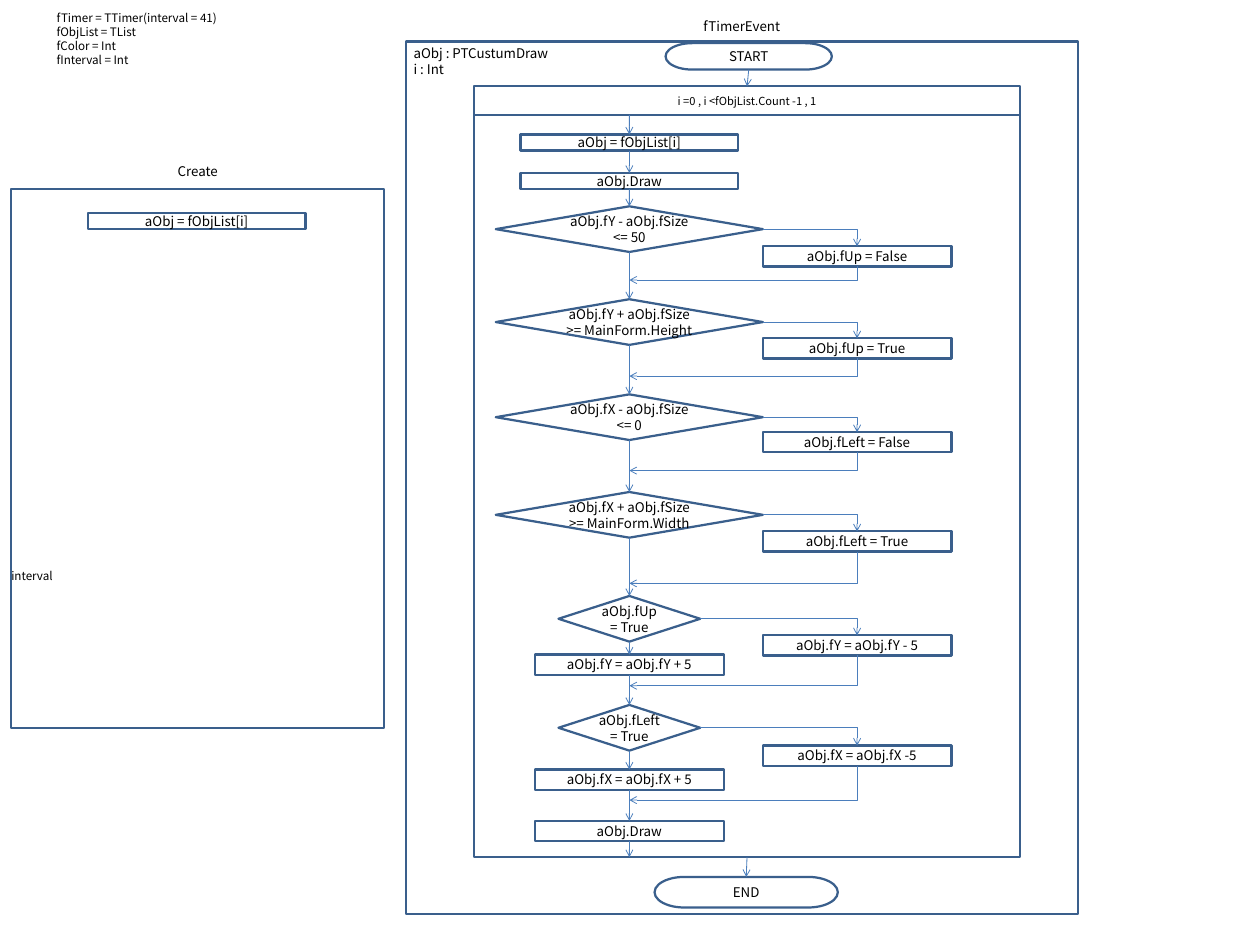
from dataclasses import dataclass

from lxml import etree
from pptx import Presentation
from pptx.dml.color import RGBColor
from pptx.enum.shapes import MSO_CONNECTOR as LINK, MSO_SHAPE as SHAPE
from pptx.enum.text import MSO_ANCHOR as ANCHOR, MSO_AUTO_SIZE as AUTO, PP_ALIGN as ALIGN
from pptx.oxml.ns import qn
from pptx.util import Cm, Pt


@dataclass(frozen=True)
class Theme:
    font: str = "Noto Sans CJK KR"
    ink: RGBColor = RGBColor(0x00, 0x00, 0x00)
    outline: RGBColor = RGBColor(0x3A, 0x5F, 0x8C)
    arrow: RGBColor = RGBColor(0x4B, 0x7E, 0xBC)
    body: float = 12
    note: float = 10.5
    loop: float = 10
    outline_width: float = 2
    arrow_width: float = 0.75


THEME = Theme()
TOP, BOTTOM, RIGHT = 0, 2, 3

# Centre lines of the loop body, in cm
SPINE = 19.98
BRANCH = 27.21

STEP = (6.91, 0.51)
ACTION = (5.99, 0.64)
WIDE_DECISION = (8.48, 1.45)
SMALL_DECISION = (4.5, 1.45)

# decision size, its top, its lines, yes-action top, yes-action,
# no-action top, no-action, height where the branch rejoins
TESTS = [
    (WIDE_DECISION, 6.55, ["aObj.fY - aObj.fSize", "<= 50"],
     7.82, "aObj.fUp = False", None, None, 8.89),
    (WIDE_DECISION, 9.5, ["aObj.fY + aObj.fSize", ">= MainForm.Height"],
     10.74, "aObj.fUp = True", None, None, 11.94),
    (WIDE_DECISION, 12.52, ["aObj.fX - aObj.fSize", "<= 0"],
     13.72, "aObj.fLeft = False", None, None, 14.94),
    (WIDE_DECISION, 15.62, ["aObj.fX + aObj.fSize", ">= MainForm.Width"],
     16.87, "aObj.fLeft = True", None, None, 18.52),
    (SMALL_DECISION, 18.92, ["aObj.fUp", "= True"],
     20.17, "aObj.fY = aObj.fY - 5", 20.78, "aObj.fY = aObj.fY + 5", 21.77),
    (SMALL_DECISION, 22.38, ["aObj.fLeft", "= True"],
     23.67, "aObj.fX = aObj.fX -5", 24.43, "aObj.fX = aObj.fX + 5", 25.4),
]


def write(sp, lines, size=THEME.body, align=ALIGN.CENTER, anchor=ANCHOR.MIDDLE, inset=(0, 0)):
    tf = sp.text_frame
    tf.word_wrap = True
    tf.auto_size = AUTO.NONE
    tf.vertical_anchor = anchor
    tf.margin_left = tf.margin_right = Cm(inset[0])
    tf.margin_top = tf.margin_bottom = Cm(inset[1])
    for i, line in enumerate(lines):
        p = tf.add_paragraph() if i else tf.paragraphs[0]
        p.text = line
        p.alignment = align
        p.font.name = THEME.font
        p.font.size = Pt(size)
        p.font.color.rgb = THEME.ink


def add_note(slide, box, lines, size=THEME.note, align=ALIGN.LEFT, anchor=ANCHOR.TOP, inset=(0, 0)):
    write(slide.shapes.add_textbox(*map(Cm, box)), lines, size, align, anchor, inset)


def add_box(slide, box, lines=(), kind=SHAPE.RECTANGLE, size=THEME.body):
    sp = slide.shapes.add_shape(kind, *map(Cm, box))
    sp.shadow.inherit = False
    sp.fill.background()
    sp.line.color.rgb = THEME.outline
    sp.line.width = Pt(THEME.outline_width)
    if lines:
        write(sp, lines, size)
    return sp


def add_centred(slide, centre, top, size, lines, kind=SHAPE.RECTANGLE):
    width, height = size
    return add_box(slide, (centre - width / 2, top, width, height), lines, kind)


def site(sp, side):
    """Position of the middle of the top, bottom or right side."""
    x = sp.left + (sp.width if side == RIGHT else sp.width // 2)
    y = sp.top + {TOP: 0, BOTTOM: sp.height, RIGHT: sp.height // 2}[side]
    return x, y


def add_arrow(slide, begin, end, kind=LINK.STRAIGHT):
    cxn = slide.shapes.add_connector(kind, *begin, *end)
    cxn.line.color.rgb = THEME.arrow
    cxn.line.width = Pt(THEME.arrow_width)
    etree.SubElement(cxn.line._get_or_add_ln(), qn("a:tailEnd"), type="arrow")
    etree.SubElement(cxn._element.spPr, qn("a:effectLst"))
    if kind == LINK.ELBOW:
        cxn._element.spPr.find(qn("a:prstGeom")).set("prst", "bentConnector2")
    return cxn


def link_down(slide, upper, lower):
    cxn = add_arrow(slide, site(upper, BOTTOM), site(lower, TOP))
    cxn.begin_connect(upper, BOTTOM)
    cxn.end_connect(lower, TOP)


def branch_out(slide, decision, action):
    """Elbow going right from the decision, then down into the action."""
    cxn = add_arrow(slide, site(decision, RIGHT), site(action, TOP), LINK.ELBOW)
    cxn.begin_connect(decision, RIGHT)
    cxn.end_connect(action, TOP)


def branch_back(slide, action, join):
    """Elbow going down from the action, then left to the spine."""
    x, y = site(action, BOTTOM)
    run, drop = x - Cm(SPINE), Cm(join) - y
    left, top = x - (run + drop) // 2, y + (drop - run) // 2
    cxn = add_arrow(slide, (left, top), (left + drop, top + run), LINK.ELBOW)
    cxn._element.spPr.find(qn("a:xfrm")).set("rot", str(90 * 60000))


def add_create_panel(slide):
    add_note(slide, (1.8, 0.36, 6.17, 1.8),
             ["fTimer = TTimer(interval = 41)", "fObjList = TList", "fColor = Int", "fInterval = Int"])
    add_note(slide, (0.36, 18.06, 6.17, 0.46), ["interval"])
    add_box(slide, (0.36, 5.99, 11.84, 17.12))
    add_note(slide, (0.36, 4.9, 11.84, 1.09), ["Create"], THEME.body, ALIGN.CENTER, ANCHOR.MIDDLE)
    add_box(slide, (2.79, 6.76, *STEP), ["aObj = fObjList[i]"])


def add_event_frame(slide):
    """Draws the event's outer parts and returns the loop header and loop body."""
    title = slide.shapes.title
    title.left, title.top, title.width, title.height = map(Cm, (12.88, 0.41, 21.34, 0.84))
    write(title, ["fTimerEvent"])
    add_box(slide, (12.88, 1.32, 21.34, 27.69))
    add_note(slide, (12.88, 1.32, 5.28, 0.94), ["aObj : PTCustumDraw", "i : Int"],
             THEME.body, inset=(0.25, 0.13))
    start = add_box(slide, (21.13, 1.37, 5.28, 0.84), ["START"], SHAPE.FLOWCHART_TERMINATOR)
    end = add_box(slide, (20.78, 27.84, 5.82, 0.97), ["END"], SHAPE.FLOWCHART_TERMINATOR)
    header = add_box(slide, (15.04, 2.74, 17.35, 0.91), ["i =0 , i <fObjList.Count -1 , 1"],
                     size=THEME.loop)
    body = add_box(slide, (15.04, 3.66, 17.35, 23.55))
    link_down(slide, start, header)
    link_down(slide, body, end)
    return header, body


def add_loop_steps(slide, header, body):
    fetch = add_centred(slide, SPINE, 4.27, STEP, ["aObj = fObjList[i]"])
    entry = add_arrow(slide, (Cm(SPINE), header.top + header.height), site(fetch, TOP))
    entry.end_connect(fetch, TOP)
    last = add_centred(slide, SPINE, 5.49, STEP, ["aObj.Draw"])
    link_down(slide, fetch, last)

    for size, top, lines, yes_top, yes, no_top, no, join in TESTS:
        decision = add_centred(slide, SPINE, top, size, lines, SHAPE.FLOWCHART_DECISION)
        action = add_centred(slide, BRANCH, yes_top, ACTION, [yes])
        link_down(slide, last, decision)
        branch_out(slide, decision, action)
        branch_back(slide, action, join)
        last = decision
        if no:
            last = add_centred(slide, SPINE, no_top, ACTION, [no])
            link_down(slide, decision, last)

    redraw = add_centred(slide, SPINE, 26.06, ACTION, ["aObj.Draw"])
    link_down(slide, last, redraw)
    leave = add_arrow(slide, site(redraw, BOTTOM), (Cm(SPINE), body.top + body.height))
    leave.begin_connect(redraw, BOTTOM)


def main():
    prs = Presentation()
    prs.slide_width, prs.slide_height = Cm(40), Cm(30)
    slide = prs.slides.add_slide(prs.slide_layouts[5])
    add_create_panel(slide)
    header, body = add_event_frame(slide)
    add_loop_steps(slide, header, body)
    prs.save("out.pptx")


if __name__ == "__main__":
    main()
